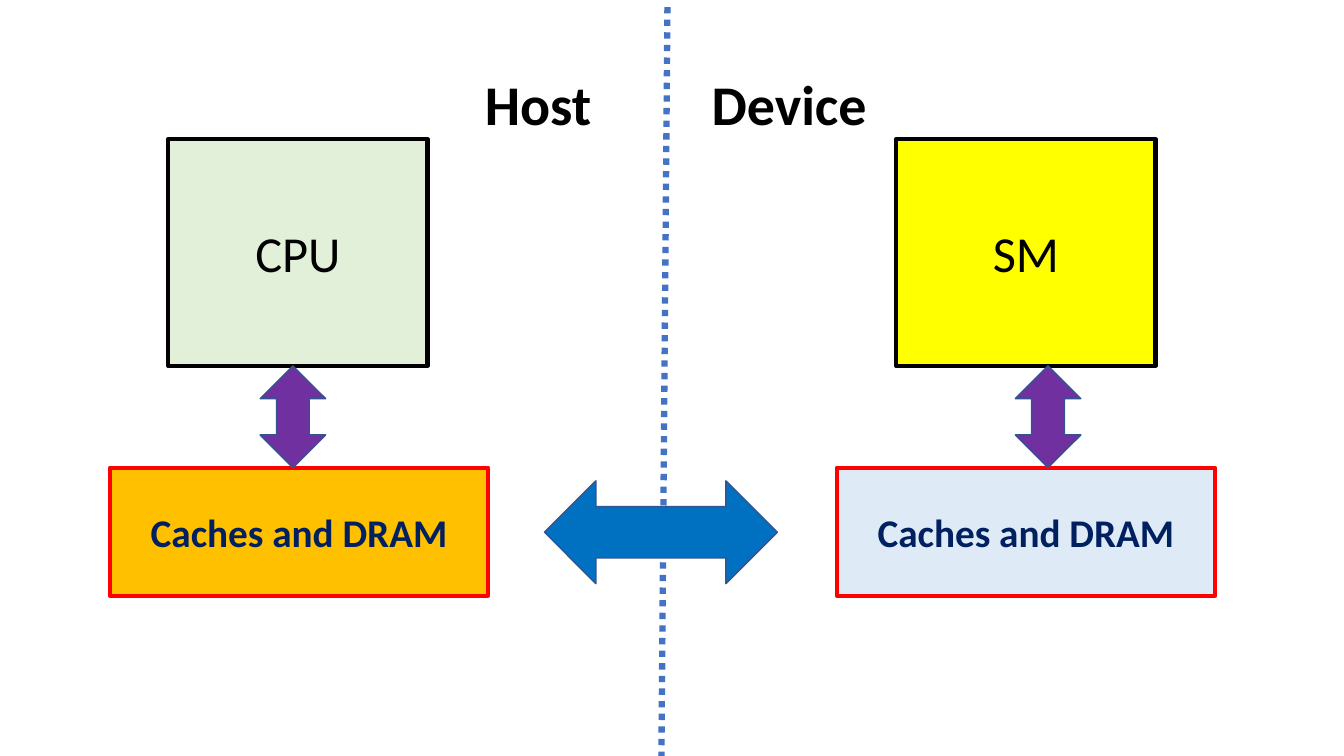
import pptx
import pptx.util
from pptx.dml.color import RGBColor
from pptx.enum.dml import MSO_LINE
from pptx.enum.shapes import MSO_CONNECTOR, MSO_SHAPE
from pptx.enum.text import MSO_ANCHOR, PP_ALIGN
from pptx.oxml.ns import qn
import lxml.etree

PX = 9144  # EMU per px, 100 px to the inch
WIDTH, HEIGHT = 1333, 750

COLORS = {
    "black": "000000", "green": "E2F0D9", "yellow": "FFFF00",
    "orange": "FFC000", "pale_blue": "DEEBF7", "red": "FF0000",
    "navy": "002060", "purple": "7030A0", "blue": "0070C0",
    "outline": "325491", "divider": "4472C4",
}

# Each side: heading, its left and width; processor, its left and fill;
# memory, its left and fill; left of the arrow between them
SIDES = [
    (("Host", 471, 142), ("CPU", 167, "green"),
     ("Caches and DRAM", 109, "orange"), 258),
    (("Device", 696, 188), ("SM", 889, "yellow"),
     ("Caches and DRAM", 830, "pale_blue"), 1007),
]
HEADING_TOP, HEADING_H = 64, 77
PROCESSOR_TOP, PROCESSOR_W, PROCESSOR_H = 138, 257, 225
MEMORY_TOP, MEMORY_W, MEMORY_H = 464, 375, 127
ARROW_W = 65
LINK = (540, 477, 231, 102)
DIVIDER = (662, 7, 656, 750)


def px(*lengths):
    return [pptx.util.Emu(n * PX) for n in lengths]


def rgb(name):
    return RGBColor.from_string(COLORS[name])


def write(sp, text, size, color="black", bold=False, align=PP_ALIGN.LEFT,
          anchor=MSO_ANCHOR.TOP):
    tf = sp.text_frame
    tf.word_wrap = True
    tf.vertical_anchor = anchor
    p = tf.paragraphs[0]
    p.alignment = align
    r = p.add_run()
    r.text = text
    r.font.name = "Calibri"
    r.font.size = pptx.util.Pt(size)
    r.font.bold = bold
    r.font.color.rgb = rgb(color)


def add_figure(s, kind, box, fill, line, weight):
    sp = s.shapes.add_shape(kind, *px(*box))
    sp.shadow.inherit = False
    sp.fill.solid()
    sp.fill.fore_color.rgb = rgb(fill)
    sp.line.color.rgb = rgb(line)
    sp.line.width = pptx.util.Pt(weight)
    return sp


def add_divider(s):
    line = s.shapes.add_connector(MSO_CONNECTOR.STRAIGHT, *px(*DIVIDER))
    line.line.color.rgb = rgb("divider")
    line.line.width = pptx.util.Pt(4.5)
    line.line.dash_style = MSO_LINE.ROUND_DOT  # written as sysDot
    lxml.etree.SubElement(line._element.spPr, qn("a:effectLst"))


def add_side(s, heading, processor, memory, arrow_left):
    centred = {"align": PP_ALIGN.CENTER, "anchor": MSO_ANCHOR.MIDDLE}

    text, left, fill = processor
    sp = add_figure(s, MSO_SHAPE.RECTANGLE,
                    (left, PROCESSOR_TOP, PROCESSOR_W, PROCESSOR_H),
                    fill, "black", 3)
    write(sp, text, 36, **centred)

    text, left, fill = memory
    sp = add_figure(s, MSO_SHAPE.RECTANGLE,
                    (left, MEMORY_TOP, MEMORY_W, MEMORY_H), fill, "red", 3)
    write(sp, text, 28, color="navy", bold=True, **centred)

    arrow_top = PROCESSOR_TOP + PROCESSOR_H
    add_figure(s, MSO_SHAPE.UP_DOWN_ARROW,
               (arrow_left, arrow_top, ARROW_W, MEMORY_TOP - arrow_top),
               "purple", "outline", 1)

    text, left, width = heading
    sp = s.shapes.add_textbox(*px(left, HEADING_TOP, width, HEADING_H))
    write(sp, text, 40, bold=True)


def main():
    prs = pptx.Presentation()
    prs.slide_width, prs.slide_height = px(WIDTH, HEIGHT)
    s = prs.slides.add_slide(prs.slide_layouts[6])
    add_divider(s)
    for side in SIDES:
        add_side(s, *side)
    add_figure(s, MSO_SHAPE.LEFT_RIGHT_ARROW, LINK, "blue", "outline", 1)
    prs.save("out.pptx")


if __name__ == "__main__":
    main()
